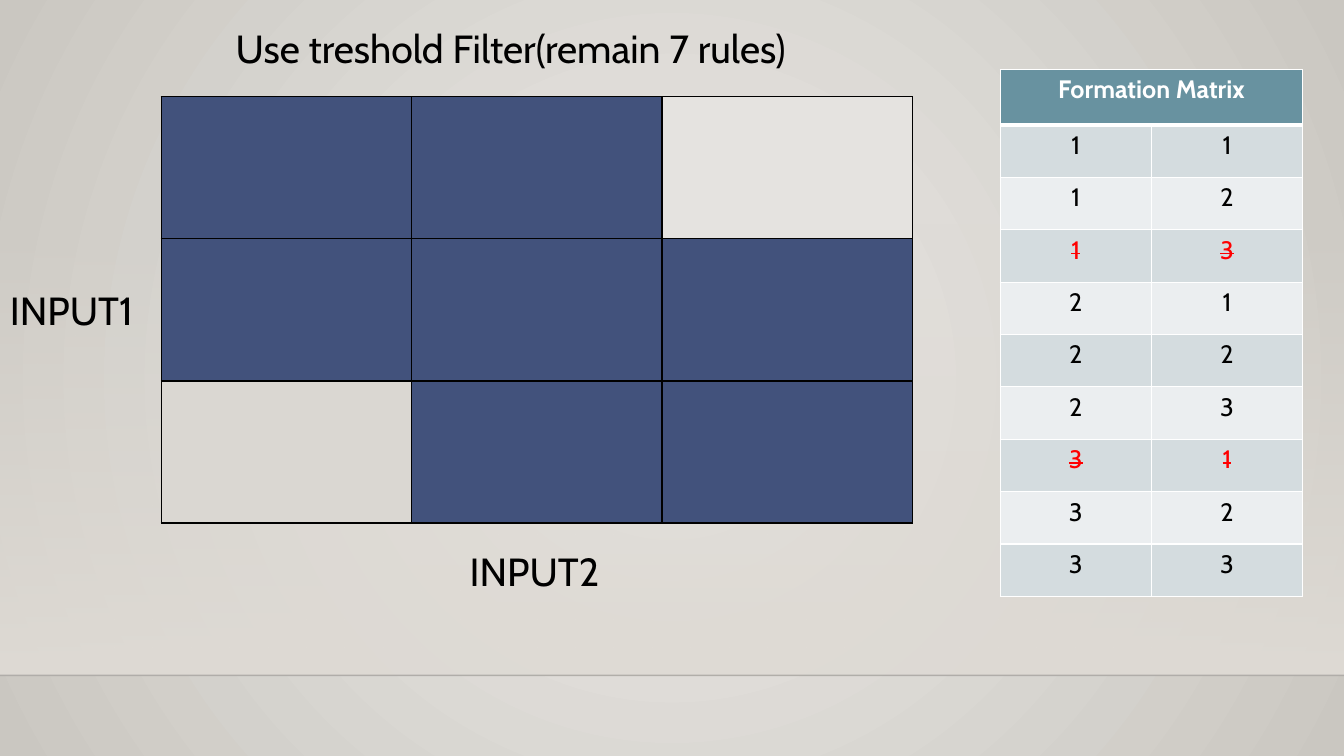
from itertools import product

from lxml import etree
from pptx import Presentation
from pptx.dml.color import RGBColor
from pptx.enum import shapes, text
from pptx.oxml import ns
from pptx.util import Inches, Pt

WIDTH, HEIGHT = Inches(13.33), Inches(7.5)
FONT = "Cabin"
BLACK = RGBColor(0x00, 0x00, 0x00)
WHITE = RGBColor(0xFF, 0xFF, 0xFF)
RED = RGBColor(0xFF, 0x00, 0x00)
NAVY = RGBColor(0x42, 0x52, 0x7C)
TEAL = RGBColor(0x68, 0x92, 0xA0)
BANDS = (RGBColor(0xD4, 0xDC, 0xDF), RGBColor(0xEB, 0xEE, 0xF0))
GLOW = RGBColor(0xEC, 0xEA, 0xE7)
EDGE = RGBColor(0xCA, 0xC7, 0xC1)
FLOOR = RGBColor(0xDF, 0xDB, 0xD5)
HORIZON = RGBColor(0x00, 0x00, 0x01)

LEVELS = (1, 2, 3)
REMOVED = {
    (1, 3): RGBColor(0xE5, 0xE3, 0xE0),
    (3, 1): RGBColor(0xDA, 0xD7, 0xD2),
}
LABELS = (
    ("Use treshold Filter(remain 7 rules)", (16.8, 2.53, 42.91, 7.6)),
    ("INPUT1", (0, 37.2, 11.4, 7.6)),
    ("INPUT2", (34.21, 71.73, 11.4, 7.6)),
)


def across(share):
    return round(WIDTH * share / 100)


def down(share):
    return round(HEIGHT * share / 100)


def place(left, top, width, height):
    return across(left), down(top), across(width), down(height)


def add_child(parent, tag, **values):
    return etree.SubElement(parent, ns.qn(tag), values)


def set_opacity(element, percent):
    color = element.find(".//" + ns.qn("a:srgbClr"))
    add_child(color, "a:alpha", val=str(percent * 1000))


def set_gradient(fill, colors):
    fill.gradient()
    for stop, color in zip(fill.gradient_stops, colors):
        stop.color.rgb = color


def paint_background(page):
    set_gradient(page.background.fill, (GLOW, EDGE))
    gradient = page.element.find(".//" + ns.qn("a:gradFill"))
    gradient.remove(gradient.find(ns.qn("a:lin")))
    circle = add_child(gradient, "a:path", path="circle")
    center = dict.fromkeys("ltrb", "50000")
    add_child(circle, "a:fillToRect", **center)


def add_floor(page):
    floor = page.shapes.add_shape(
        shapes.MSO_SHAPE.RECTANGLE, *place(0, 29.47, 100, 59.87))
    floor.shadow.inherit = False
    floor.line.fill.background()
    set_gradient(floor.fill, (FLOOR, FLOOR))
    floor.fill.gradient_angle = 270
    set_opacity(floor.element.spPr, 0)


def add_horizon(page):
    level = down(89.33)
    horizon = page.shapes.add_connector(
        shapes.MSO_CONNECTOR.STRAIGHT, 0, level, WIDTH, level)
    horizon.line.color.rgb = HORIZON
    horizon.line.width = Pt(1)
    set_opacity(horizon.element.spPr, 20)
    add_child(horizon.element.spPr, "a:effectLst")


def write(para, words, strike=False, color=BLACK, **formats):
    span = para.add_run()
    span.text = words
    span.font.color.rgb = color
    for name, value in {"name": FONT, "bold": False, **formats}.items():
        setattr(span.font, name, value)
    if strike:
        span.font._element.set("strike", "sngStrike")


def add_label(page, words, area):
    box = page.shapes.add_textbox(*place(*area))
    box.text_frame.word_wrap = False
    box.text_frame.auto_size = text.MSO_AUTO_SIZE.SHAPE_TO_FIT_TEXT
    write(box.text_frame.paragraphs[0], words, size=Pt(28))


def add_grid(page, left, top, width, heights, columns):
    area = place(left, top, width, sum(heights))
    table = page.shapes.add_table(len(heights), columns, *area).table
    table.first_row = table.horz_banding = False
    for row, height in zip(table.rows, heights):
        row.height = down(height)
    return table


def style_cell(cell, color, border, **widths):
    cell.fill.solid()
    cell.fill.fore_color.rgb = color
    properties = cell._tc.get_or_add_tcPr()
    for index, side in enumerate("LRTB"):
        line = etree.Element(
            ns.qn("a:ln" + side), w=str(Pt(widths.get(side, 1))))
        solid = add_child(line, "a:solidFill")
        add_child(solid, "a:srgbClr", val=str(border))
        properties.insert(index, line)


def write_cell(cell, words, **formats):
    para = cell.text_frame.paragraphs[0]
    para.alignment = text.PP_ALIGN.CENTER
    write(para, words, size=Pt(18), **formats)


def add_rule_map(page):
    table = add_grid(page, 12, 12.8, 55.89, [18.8] * len(LEVELS), len(LEVELS))
    for first, second in product(LEVELS, repeat=2):
        color = REMOVED.get((first, second), NAVY)
        style_cell(table.cell(first - 1, second - 1), color, BLACK)


def add_formation_matrix(page):
    pairs = list(product(LEVELS, repeat=2))
    heights = [7.33] + [6.93] * len(pairs)
    table = add_grid(page, 74.42, 9.2, 22.51, heights, 2)
    header = table.cell(0, 0)
    header.merge(table.cell(0, 1))
    for column in range(2):
        style_cell(table.cell(0, column), TEAL, WHITE, B=3)
    write_cell(header, "Formation Matrix", color=WHITE, bold=True)
    for row, pair in enumerate(pairs, 1):
        removed = pair in REMOVED
        for column, level in enumerate(pair):
            cell = table.cell(row, column)
            style_cell(cell, BANDS[(row - 1) % 2], WHITE, T=3 if row == 1 else 1)
            write_cell(cell, str(level), strike=removed,
                       color=RED if removed else BLACK)


def main():
    deck = Presentation()
    deck.slide_width, deck.slide_height = WIDTH, HEIGHT
    page = deck.slides.add_slide(deck.slide_layouts[6])
    paint_background(page)
    add_floor(page)
    add_horizon(page)
    add_rule_map(page)
    add_formation_matrix(page)
    for words, area in LABELS:
        add_label(page, words, area)
    deck.save("out.pptx")


main()
